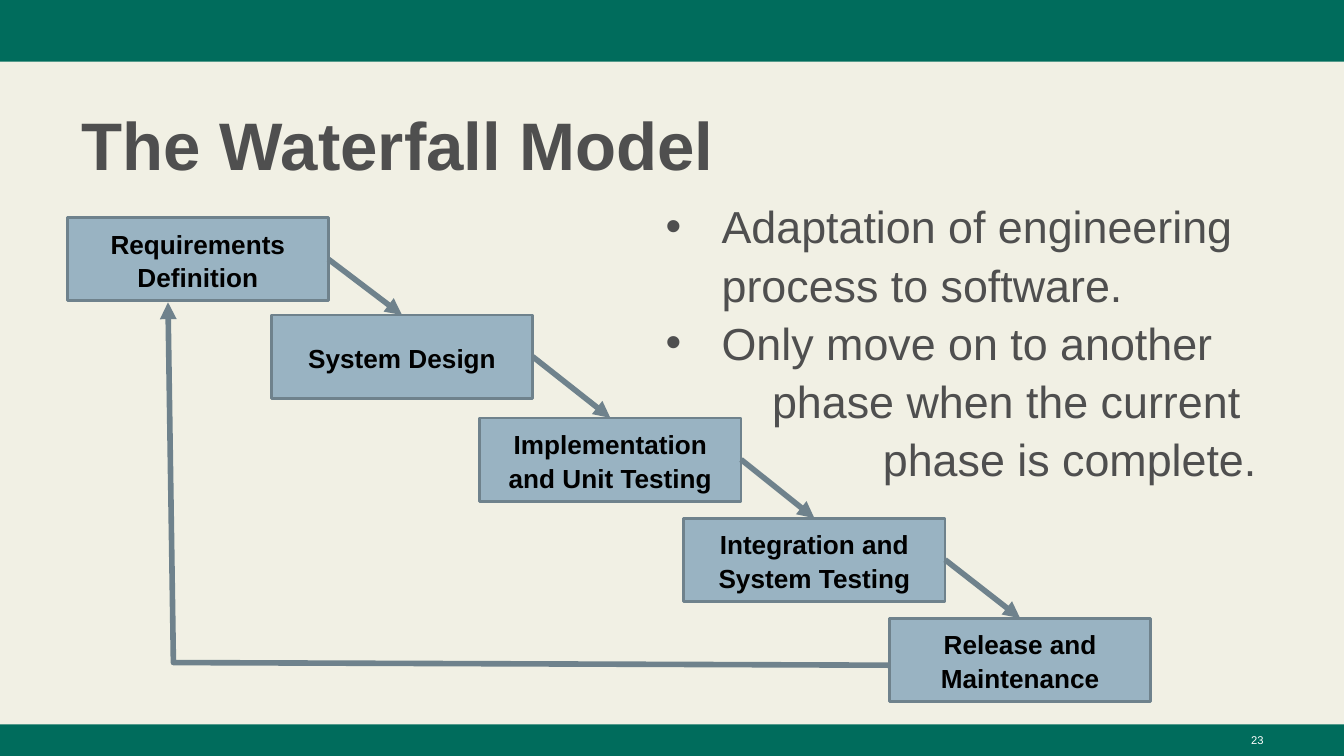
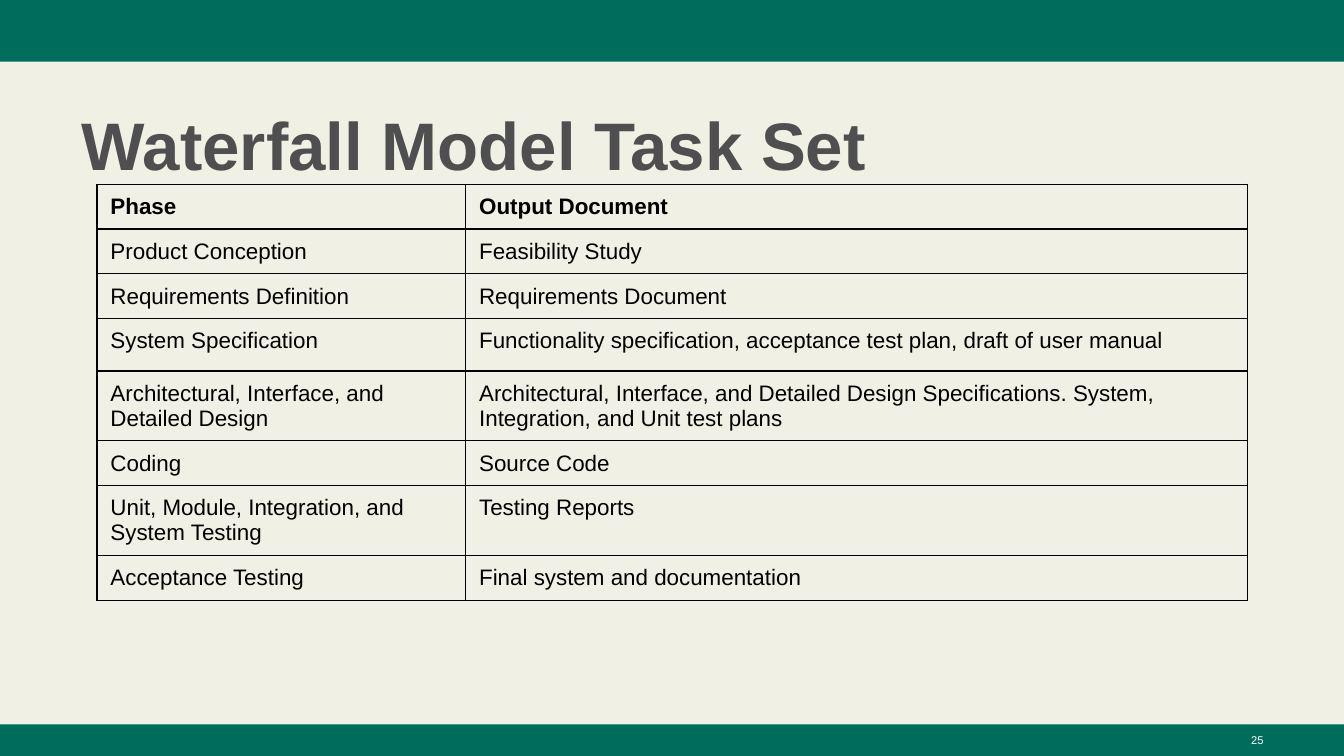
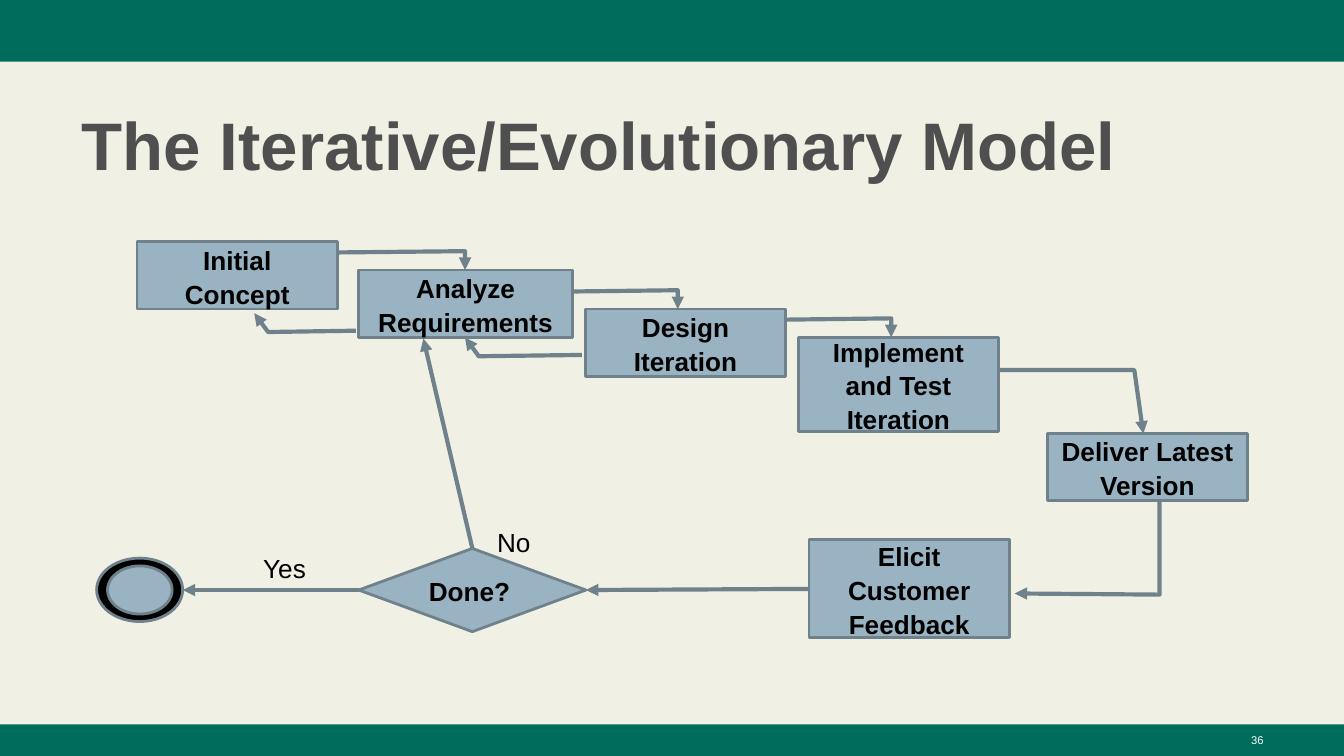
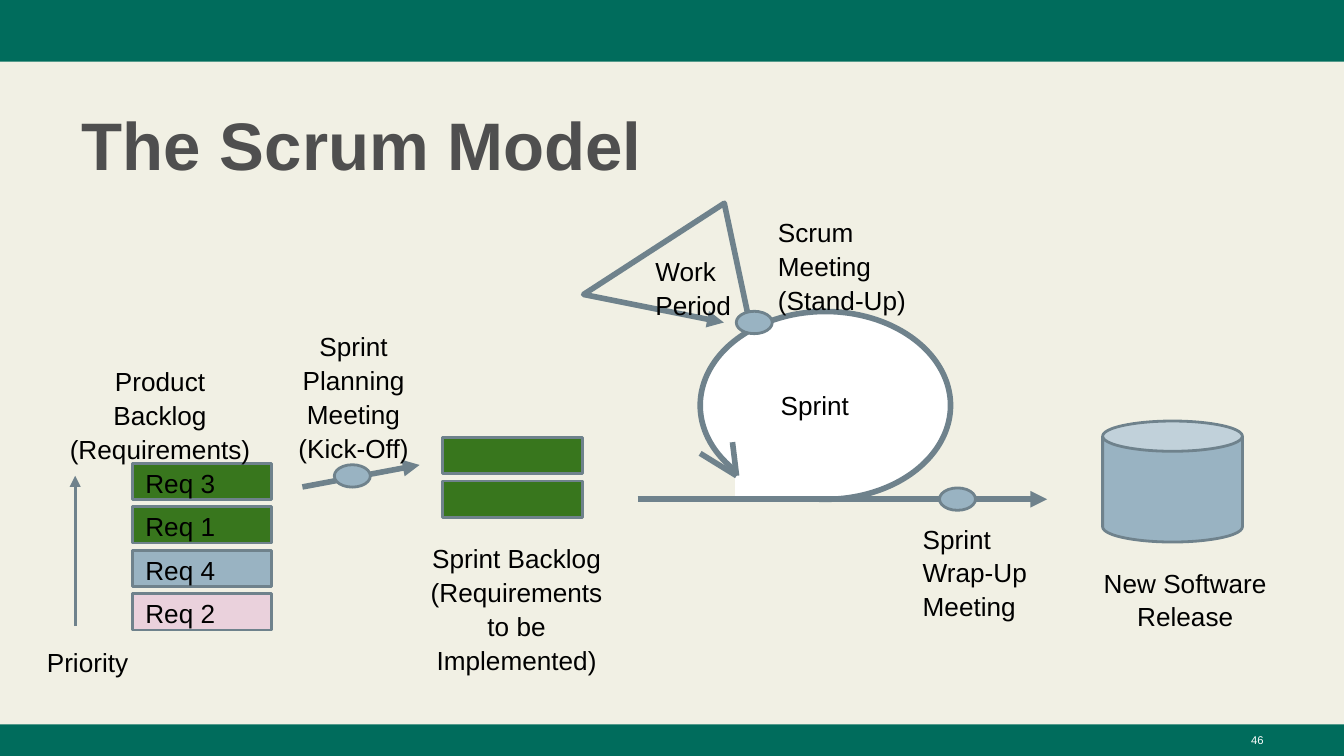
from dataclasses import dataclass
from itertools import pairwise

from lxml.etree import SubElement
from pptx import Presentation
from pptx.dml.color import RGBColor
from pptx.enum.shapes import MSO_CONNECTOR, MSO_SHAPE
from pptx.enum.text import MSO_ANCHOR, MSO_AUTO_SIZE, PP_ALIGN
from pptx.oxml.ns import qn
from pptx.util import Pt


@dataclass(frozen=True)
class Theme:
    font: str = "Arial"
    paper: str = "F1F0E4"
    band: str = "006C5C"
    gray: str = "4F4F4F"
    ink: str = "000000"
    white: str = "FFFFFF"
    blue: str = "99B3C2"
    edge: str = "6F828C"
    green: str = "38761D"
    pink: str = "EAD1DC"
    title: float = 36
    body: float = 24
    label: float = 14
    cell: float = 12
    number: float = 6
    thin: float = 1.5
    mid: float = 2.25
    thick: float = 3
    rule: float = 0.75
    lead: float = 1.08


TOP, LEFT, RIGHT = 0, 1, 3
CENTER = PP_ALIGN.CENTER


def color(code):
    return RGBColor.from_string(code)


def pts(values):
    return [Pt(value) for value in values]


class Deck:
    def __init__(self, theme):
        self.theme = theme
        self.prs = Presentation()
        self.prs.slide_width, self.prs.slide_height = pts((720, 405))
        fill = self.prs.slide_master.background.fill
        fill.solid()
        fill.fore_color.rgb = color(theme.paper)
        self.slide = None

    def begin(self, title, number, layout=5):
        first = self.slide is None
        self.slide = self.prs.slides.add_slide(self.prs.slide_layouts[layout])
        if first:
            self.bands()
        t = self.theme
        head = self.place(self.slide.shapes.title, (36.7, 48.2, 647.3, 52.6))
        self.put(head, title, t.title, t.gray, bold=True)
        self.label(str(number), (516.2, 388.8, 167.8, 16.6), PP_ALIGN.RIGHT,
                   t.number, t.white, 3.6)

    def bands(self):
        tree = self.prs.slide_master.shapes.element
        for box in ((0, 0, 720, 33.1), (0, 388.1, 720, 16.9)):
            band = self.shape(box, fill=self.theme.band, line=None)
            tree.insert(2, band.element)

    def place(self, holder, box):
        holder.left, holder.top, holder.width, holder.height = pts(box)
        return self.frame(holder, 3.6)

    def frame(self, shape, pad, anchor=MSO_ANCHOR.TOP):
        frame = shape.text_frame
        frame.word_wrap = True
        frame.auto_size = MSO_AUTO_SIZE.NONE
        frame.vertical_anchor = anchor
        frame.margin_left = frame.margin_right = Pt(7.2)
        frame.margin_top = frame.margin_bottom = Pt(pad)
        return frame

    def run(self, para, words, size, ink, bold=False):
        run = para.add_run()
        run.text = words
        font = run.font
        font.name, font.size, font.bold = self.theme.font, Pt(size), bold
        font.color.rgb = color(ink)

    def put(self, frame, words, size, ink, align=PP_ALIGN.LEFT, bold=False):
        para = frame.paragraphs[0]
        para.alignment = align
        para.line_spacing = self.theme.lead
        self.run(para, words, size, ink, bold)

    def label(self, words, box, align=PP_ALIGN.LEFT, size=None, ink=None, pad=7.2):
        frame = self.frame(self.slide.shapes.add_textbox(*pts(box)), pad)
        self.put(frame, words, size or self.theme.label, ink or self.theme.ink, align)

    def stroke(self, line, ink, weight):
        line.color.rgb = color(ink)
        line.width = Pt(weight)

    def shape(self, box, kind=MSO_SHAPE.RECTANGLE, fill=Theme.blue,
              line=Theme.edge, weight=Theme.thin):
        shape = self.slide.shapes.add_shape(kind, *pts(box))
        shape.shadow.inherit = False
        shape.fill.solid()
        shape.fill.fore_color.rgb = color(fill)
        if line:
            self.stroke(shape.line, line, weight)
        else:
            shape.line.fill.background()
        return shape

    def box(self, words, box, align=CENTER, bold=True, **style):
        shape = self.shape(box, **style)
        frame = self.frame(shape, 7.2, MSO_ANCHOR.MIDDLE)
        self.put(frame, words, self.theme.label, self.theme.ink, align, bold)
        return shape

    def dot(self, box, **style):
        return self.shape(box, MSO_SHAPE.OVAL, **style)

    def head(self, shape):
        SubElement(shape.line._get_or_add_ln(), qn("a:tailEnd"), type="triangle")

    def link(self, start=(0, 0), end=(0, 0), weight=Theme.thick,
             out=None, into=None, arrow=True):
        link = self.slide.shapes.add_connector(
            MSO_CONNECTOR.STRAIGHT, *pts(start + end))
        if out:
            link.begin_connect(*out)
        if into:
            link.end_connect(*into)
        self.stroke(link.line, self.theme.edge, weight)
        if arrow:
            self.head(link)
        SubElement(link.element.spPr, qn("a:effectLst"))

    def route(self, stops, weight=Theme.mid):
        start, *rest = [pts(stop) for stop in stops]
        pen = self.slide.shapes.build_freeform(*start)
        pen.add_line_segments(rest, close=False)
        shape = pen.convert_to_shape()
        shape.shadow.inherit = False
        shape.fill.background()
        self.stroke(shape.line, self.theme.edge, weight)
        self.head(shape)

    def bullets(self, items, box):
        t = self.theme
        frame = self.place(self.slide.placeholders[1], box)
        for spot, (words, left, mark) in enumerate(items):
            para = frame.add_paragraph() if spot else frame.paragraphs[0]
            props = para._p.get_or_add_pPr()
            props.set("marL", str(Pt(left)))
            props.set("indent", str(Pt(-30 if mark else 0)))
            if mark:
                tint = SubElement(props, qn("a:buClr"))
                SubElement(tint, qn("a:srgbClr"), val=t.gray)
                SubElement(props, qn("a:buFont"), typeface=t.font)
                SubElement(props, qn("a:buChar"), char="•")
            else:
                SubElement(props, qn("a:buNone"))
            para.line_spacing = t.lead
            para.space_before = Pt(0)
            self.run(para, words, t.body, t.gray)

    def table(self, rows, spot, widths, heights):
        t = self.theme
        area = spot + (sum(widths), sum(heights))
        grid = self.slide.shapes.add_table(len(rows), len(widths), *pts(area)).table
        grid.first_row = grid.horz_banding = False
        for col, width in zip(grid.columns, widths):
            col.width = Pt(width)
        for r, (row, height) in enumerate(zip(rows, heights)):
            grid.rows[r].height = Pt(height)
            for c, words in enumerate(row):
                cell = grid.cell(r, c)
                cell.margin_left = cell.margin_right = Pt(7.2)
                cell.margin_top = cell.margin_bottom = Pt(5.3)
                self.border(cell)
                cell.fill.background()
                self.run(cell.text_frame.paragraphs[0], words, t.cell, t.ink, r == 0)

    def border(self, cell):
        props = cell._tc.get_or_add_tcPr()
        for side in "LRTB":
            line = SubElement(props, qn(f"a:ln{side}"), w=str(Pt(self.theme.rule)))
            fill = SubElement(line, qn("a:solidFill"))
            SubElement(fill, qn("a:srgbClr"), val=self.theme.ink)


def falls(deck):
    deck.begin("The Waterfall Model", 23, layout=1)
    deck.bullets([
        ("Adaptation of engineering process to software.", 36, True),
        ("Only move on to another", 36, True),
        ("phase when the current", 63, False),
        ("phase is complete.", 122.4, False),
    ], (343.4, 100.8, 340.6, 274.3))
    phases = [
        ("Requirements Definition", 36, 116.6),
        ("System Design", 145.4, 168.8),
        ("Implementation and Unit Testing", 257, 223.9),
        ("Integration and System Testing", 366.3, 277.6),
        ("Release and Maintenance", 476.5, 331.2),
    ]
    boxes = [deck.box(words, (x, y, 140, 44.6)) for words, x, y in phases]
    for prior, after in pairwise(boxes):
        deck.link(out=(prior, RIGHT), into=(after, TOP))
    deck.route([(476.5, 356.4), (92.9, 355), (90, 162)], Theme.thick)


def tasks(deck):
    deck.begin("Waterfall Model Task Set", 25)
    deck.table([
        ("Phase", "Output Document"),
        ("Product Conception", "Feasibility Study"),
        ("Requirements Definition", "Requirements Document"),
        ("System Specification",
         "Functionality specification, acceptance test plan, draft of user manual"),
        ("Architectural, Interface, and Detailed Design",
         "Architectural, Interface, and Detailed Design Specifications. "
         "System, Integration, and Unit test plans"),
        ("Coding", "Source Code"),
        ("Unit, Module, Integration, and System Testing", "Testing Reports"),
        ("Acceptance Testing", "Final system and documentation"),
    ], (52, 98.7), (197.5, 419), (21.6, 21.6, 21.6, 28, 20.2, 20.2, 22.3, 20.2))


def cycle(deck):
    deck.begin("The Iterative/Evolutionary Model", 36)
    wide = 107.4
    for words, *area in [
        ("Initial Concept", 73.4, 129.6, wide, 36),
        ("Analyze Requirements", 192.2, 144.7, 114.5, 36),
        ("Design Iteration", 313.6, 165.6, wide, 36),
        ("Implement and Test Iteration", 427.6, 180.7, wide, 50.4),
        ("Deliver Latest Version", 561, 232.3, wide, 36),
    ]:
        deck.box(words, area)
    ask = deck.box("Elicit Customer Feedback", (433.4, 289.2, wide, 52.6))
    done = deck.box("Done?", (192.2, 293.8, 121.7, 44.6), PP_ALIGN.LEFT,
                    kind=MSO_SHAPE.DIAMOND)
    for start, end, y in [(180.7, 249.1, 135.3), (306.7, 363.1, 156.2),
                          (420.8, 477.4, 171.3)]:
        deck.route([(start, y), (end, y - 0.7), (end, y + 9.4)])
    for start, end, y in [(190.6, 136.2, 177.2), (311.8, 249.1, 190.2)]:
        deck.route([(start, y), (end + 7.4, y + 0.7), (end, y - 9.4)])
    deck.route([(535, 198.2), (607.7, 198.2), (612.5, 232.3)])
    deck.route([(621.2, 268.3), (621.2, 318.6), (543.6, 318)])
    deck.link(out=(ask, LEFT), into=(done, RIGHT), weight=Theme.mid)
    deck.link(end=(226.8, 181.4), out=(done, TOP), weight=Theme.mid)
    deck.dot((51.8, 299, 46.1, 34), fill=Theme.ink)
    deck.dot((57.6, 303.2, 34.6, 25.8))
    deck.link(end=(97.9, 316.1), out=(done, LEFT), weight=Theme.mid)
    deck.label("Yes", (133.9, 287.3, 56.9, 25.9))
    deck.label("No", (259.2, 273.6, 38.2, 15.8))


def scrum(deck):
    deck.begin("The Scrum Model", 46)
    wide, tall, step = 74.9, 19.4, 23.3
    reqs = [("Req 3", Theme.green), ("Req 1", Theme.green),
            ("Req 4", Theme.blue), ("Req 2", Theme.pink)]
    for row, (words, fill) in enumerate(reqs):
        deck.box(words, (70.8, 248.3 + row * step, wide, tall),
                 PP_ALIGN.LEFT, bold=False, fill=fill)
    for row in range(2):
        deck.shape((237.1, 234.4 + row * step, wide, tall), fill=Theme.green)
    deck.link((40.3, 335.5), (40.3, 254.9), Theme.thin)
    deck.shape((590.7, 225.6, wide, 64.8), MSO_SHAPE.CAN)
    deck.dot((375.1, 166.9, 134.1, 100.6), fill=Theme.white, weight=Theme.thick)
    deck.shape((394.6, 241.9, 41, 25.6), fill=Theme.white, line=Theme.white)
    deck.link((341.6, 267.5), (561, 267.5))
    for end in ((392.4, 236.9), (375.1, 242.9)):
        deck.link((394.6, 254.9), end, arrow=False)
    deck.link((162, 260.9), (224.8, 249.1))
    deck.route([(400.5, 167.8), (388, 108.9), (312.6, 157.8), (387.8, 172.8)],
               Theme.thick)
    for x, y in ((503.3, 261.4), (179.1, 249), (394.4, 166.8)):
        deck.dot((x, y, 19.3, 12))
    for words, *area in [
        ("Product Backlog (Requirements)", 29.5, 187.2, 112.5, 44.6),
        ("Sprint Backlog (Requirements to be Implemented)", 220.5, 282, 112.5, 32.4),
        ("New Software Release", 568, 295.2, 133.9, 38.9),
        ("Sprint Planning Meeting (Kick-Off)", 152, 168.6, wide, 67.7),
    ]:
        deck.label(words, area, CENTER)
    for words, *area in [
        ("Priority", 18, 337.7, 61.2, 22.3),
        ("Sprint", 411.1, 200.2, 80.6, 25.9),
        ("Sprint Wrap-Up Meeting", 487.2, 271.6, 80.6, 32.4),
        ("Scrum Meeting (Stand-Up)", 409.7, 107.3, 106.4, 53.3),
        ("Work Period", 344, 128.2, 56.9, 38.9),
    ]:
        deck.label(words, area)


def main():
    deck = Deck(Theme())
    for build in (falls, tasks, cycle, scrum):
        build(deck)
    deck.prs.save("out.pptx")


if __name__ == "__main__":
    main()
